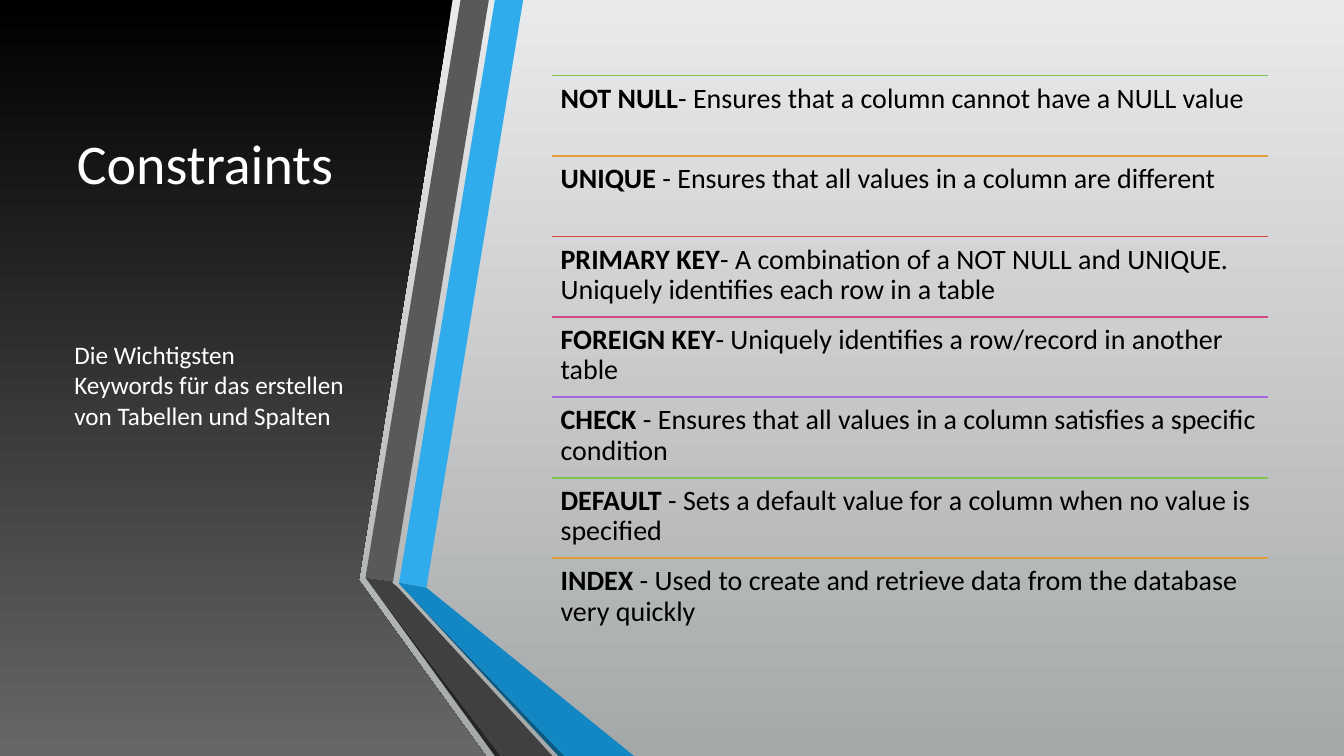
from lxml import etree
from pptx import Presentation
from pptx.dml.color import RGBColor
from pptx.enum.shapes import MSO_CONNECTOR
from pptx.enum.text import MSO_ANCHOR, PP_ALIGN
from pptx.oxml.ns import qn
from pptx.util import Pt

STRAIGHT = MSO_CONNECTOR.STRAIGHT
TOP, MIDDLE = MSO_ANCHOR.TOP, MSO_ANCHOR.MIDDLE
LEFT, CENTER = PP_ALIGN.LEFT, PP_ALIGN.CENTER

TITLE = "Constraints"
SUBTITLE = ["Die Wichtigsten", "Keywords für das erstellen von Tabellen und Spalten"]
CONSTRAINTS = [
    ("NOT NULL", "- Ensures that a column cannot have a NULL value"),
    ("UNIQUE", " - Ensures that all values in a column are different"),
    ("PRIMARY KEY", "- A combination of a NOT NULL and UNIQUE. Uniquely identifies each row in a table"),
    ("FOREIGN KEY", "- Uniquely identifies a row/record in another table"),
    ("CHECK", " - Ensures that all values in a column satisfies a specific condition"),
    ("DEFAULT", " - Sets a default value for a column when no value is specified"),
    ("INDEX", " - Used to create and retrieve data from the database very quickly"),
]

THEME = {
    "font": "Calibri",
    "title": 40, "subtitle": 18, "row": 20, "rule": 1.25,
    "light": "FFFFFF", "dark": "000000",
    "background": ("E9EAEB", "A5A8A9"),
    "panel": ("000000", "676767"),
    "rules": ["80C34F", "E29D3E", "D64A3B", "D64787", "A666E1"],
    "blue": "30ACEC", "blue_fold": "1287C3", "blue_shade": "0C5A82",
    "grey": "595959", "grey_fold": "404040", "grey_shade": "262626",
}

WIDTH, HEIGHT = 960, 540
PANEL = [(0, 0), (323.3, 0), (256.3, 414.4), (347, HEIGHT), (0, HEIGHT)]
BANDS = [
    ("blue", [(285.1, 416.2), (304.6, 419.8), (373.7, 0), (353.5, 0)]),
    ("grey", [(349.2, 0), (329, 0), (261.1, 412.6), (280.8, 415.4)]),
    ("grey_shade", [(261.1, 412.6), (353.5, HEIGHT), (357.8, HEIGHT)]),
    ("blue_shade", [(285.1, 416.9), (398.9, HEIGHT), (403.2, HEIGHT)]),
    ("blue_fold", [(285.1, 416.9), (403.2, HEIGHT), (452.9, HEIGHT), (304.6, 419.8), (285.1, 416.2)]),
    ("grey_fold", [(394.6, HEIGHT), (284.4, 419.8), (280.1, 416.2), (280.8, 415.4),
                   (261.1, 412.6), (357.8, HEIGHT)]),
]
ROW_LEFT, ROW_TOP, ROW_WIDTH, ROW_HEIGHT = 394.4, 54, 511.5, 57.45


def rgb(value):
    return RGBColor.from_string(value)


def set_gradient(fill, colors):
    fill.gradient()
    fill.gradient_angle = 270
    for stop, color in zip(fill.gradient_stops, colors):
        stop.color.rgb = rgb(color)


def add_polygon(s, points):
    corners = [(Pt(x), Pt(y)) for x, y in points]
    builder = s.shapes.build_freeform(*corners[0])
    builder.add_line_segments(corners[1:], close=True)
    sp = builder.convert_to_shape()
    sp.shadow.inherit = False
    sp.line.fill.background()
    return sp


def add_text(s, box, paragraphs, size, color, anchor=TOP, align=LEFT, inset=None, spacing=None):
    tf = s.shapes.add_textbox(*map(Pt, box)).text_frame
    tf.word_wrap = True
    tf.vertical_anchor = anchor
    if inset is not None:
        tf.margin_left = tf.margin_right = tf.margin_top = tf.margin_bottom = Pt(inset)
    for i, runs in enumerate(paragraphs):
        p = tf.add_paragraph() if i else tf.paragraphs[0]
        p.alignment = align
        p.line_spacing = spacing
        p.font.name = THEME["font"]
        p.font.size = Pt(size)
        p.font.color.rgb = rgb(color)
        for text, bold in runs:
            r = p.add_run()
            r.text = text
            r.font.bold = bold


def add_rule(s, y, color):
    line = s.shapes.add_connector(STRAIGHT, Pt(ROW_LEFT), Pt(y), Pt(ROW_LEFT + ROW_WIDTH), Pt(y))
    line.line.color.rgb = rgb(color)
    line.line.width = Pt(THEME["rule"])
    etree.SubElement(line._element.spPr, qn("a:effectLst"))


def main():
    prs = Presentation()
    prs.slide_width, prs.slide_height = Pt(WIDTH), Pt(HEIGHT)
    s = prs.slides.add_slide(prs.slide_layouts[6])
    set_gradient(s.background.fill, THEME["background"])

    set_gradient(add_polygon(s, PANEL).fill, THEME["panel"])
    add_text(s, (42.5, 54, 208, 123), [[(TITLE, False)]], THEME["title"], THEME["light"], MIDDLE, CENTER)
    for color, points in BANDS:
        sp = add_polygon(s, points)
        sp.fill.solid()
        sp.fill.fore_color.rgb = rgb(THEME[color])

    for i, (keyword, meaning) in enumerate(CONSTRAINTS):
        y = ROW_TOP + i * ROW_HEIGHT
        add_rule(s, y, THEME["rules"][i % len(THEME["rules"])])
        add_text(s, (ROW_LEFT, y, ROW_WIDTH, ROW_HEIGHT), [[(keyword, True), (meaning, False)]],
                 THEME["row"], THEME["dark"], inset=6, spacing=0.9)

    add_text(s, (46, 239, 220, 72.7), [[(line, False)] for line in SUBTITLE],
             THEME["subtitle"], THEME["light"])
    prs.save("out.pptx")


if __name__ == "__main__":
    main()
